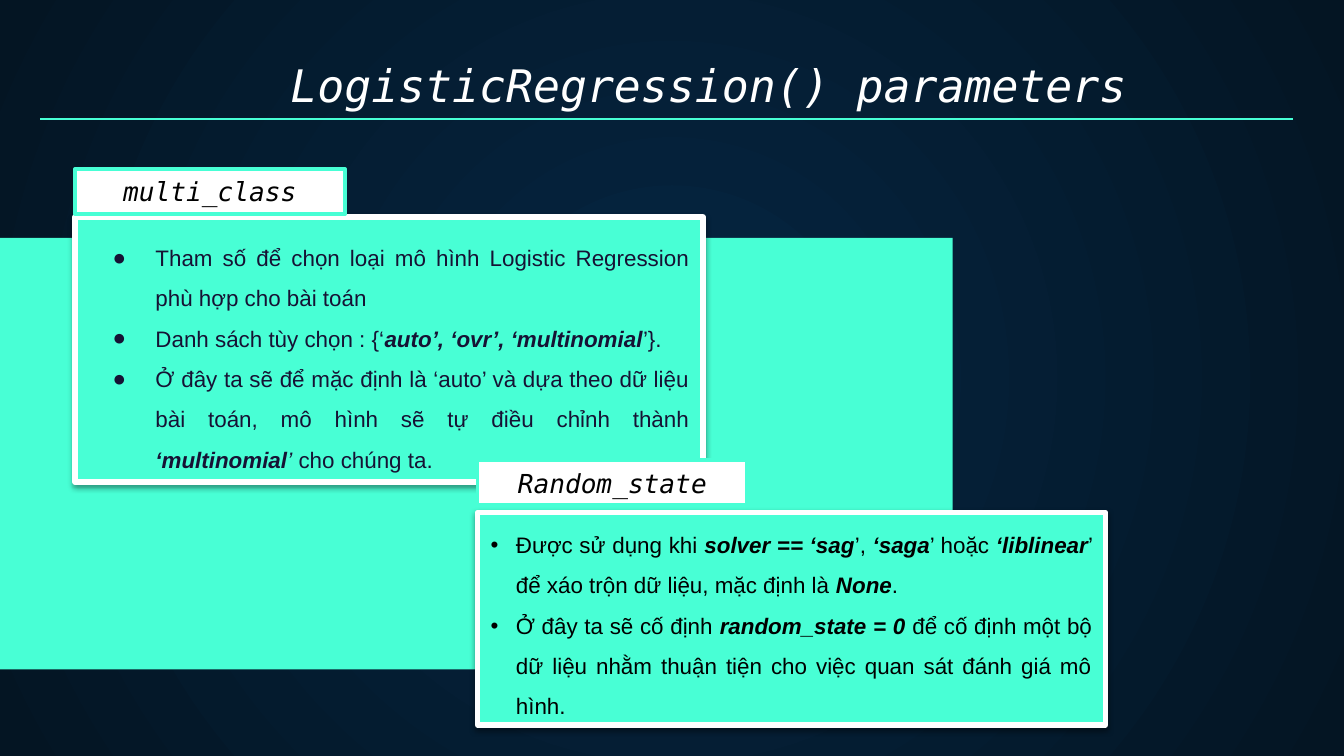
import pptx
import pptx.util
import pptx.dml.color
import pptx.enum.shapes
import pptx.enum.text
import pptx.oxml
import pptx.oxml.ns

Pt = pptx.util.Pt
ALIGN = pptx.enum.text.PP_ALIGN
ANCHOR = pptx.enum.text.MSO_ANCHOR
RECTANGLE = pptx.enum.shapes.MSO_SHAPE.RECTANGLE
NAMESPACE = pptx.oxml.ns.nsdecls("a")
TEAL, WHITE, BLACK, NAVY = "48FFD5", "FFFFFF", "000000", "161234"
MONO = "DejaVu Sans Mono"


def color(hex_code):
    return pptx.dml.color.RGBColor.from_string(hex_code)


def add_span(para, text, size, font, hex_code, style=""):
    span = para.add_run()
    span.text = text
    values = {"size": Pt(size), "name": font, "bold": "b" in style, "italic": "i" in style}
    for name, value in values.items():
        setattr(span.font, name, value)
    span.font.color.rgb = color(hex_code)


deck = pptx.Presentation()
deck.slide_width, deck.slide_height = Pt(720), Pt(405)
page = deck.slides.add_slide(deck.slide_layouts[6])

# Background: radial gradient, lighter in the centre
fill = page.background.fill
fill.gradient()
for stop, hex_code in zip(fill.gradient_stops, ("052643", "041523")):
    stop.color.rgb = color(hex_code)
linear = page.background._cSld.find(".//" + pptx.oxml.ns.qn("a:lin"))
linear.getparent().replace(linear, pptx.oxml.parse_xml(
    f'<a:path {NAMESPACE} path="circle">'
    '<a:fillToRect l="50000" t="50000" r="50000" b="50000"/></a:path>'))

# Teal band behind the panels
band = page.shapes.add_shape(RECTANGLE, Pt(-27.4), Pt(127.5), Pt(537.8), Pt(231.2))
band.shadow.inherit = False
band.fill.solid()
band.fill.fore_color.rgb = color(TEAL)
band.line.fill.background()

# Title and the rule under it
title = page.shapes.add_textbox(Pt(67), Pt(19.4), Pt(625), Pt(47.5))
frame = title.text_frame
layout = {"word_wrap": True, "vertical_anchor": ANCHOR.BOTTOM, "margin_left": Pt(7.2),
          "margin_right": Pt(7.2), "margin_top": Pt(7.2), "margin_bottom": Pt(7.2)}
for name, value in layout.items():
    setattr(frame, name, value)
frame.paragraphs[0].alignment = ALIGN.CENTER
add_span(frame.paragraphs[0], "LogisticRegression() parameters", 24, MONO, WHITE, "i")

rule = page.shapes.add_connector(
    pptx.enum.shapes.MSO_CONNECTOR.STRAIGHT, Pt(21.6), Pt(63.8), Pt(692.6), Pt(63.8))
rule.line.color.rgb = color(TEAL)
rule.line.width = Pt(0.75)
rule._element.spPr.append(pptx.oxml.parse_xml(f"<a:effectLst {NAMESPACE}/>"))

# Parameter panels: each paragraph is a list of (text, style) spans
panels = [
    {"label": "multi_class", "left": 40.2, "label_top": 90.5, "top": 116.4, "height": 142,
     "anchor": ANCHOR.TOP, "margin": 7.2, "bullet": "●", "ink": NAVY,
     "indent": 36, "hanging": 23, "paragraphs": [
         [("Tham số để chọn loại mô hình Logistic Regression phù hợp cho bài toán", "")],
         [("Danh sách tùy chọn : {‘", ""), ("auto’, ‘ovr’, ‘multinomial", "bi"), ("’}.", "")],
         [("Ở đây ta sẽ để mặc định là ‘auto’ và dựa theo dữ liệu bài toán, "
           "mô hình sẽ tự điều chỉnh thành ", ""),
          ("‘multinomial", "bi"), ("’", "i"), (" cho chúng ta.", "")]]},
    {"label": "Random_state", "left": 255.8, "label_top": 246.5, "top": 274.5, "height": 113.8,
     "anchor": ANCHOR.MIDDLE, "margin": 3.6, "bullet": "•", "ink": BLACK,
     "indent": 13.5, "hanging": 13.5, "paragraphs": [
         [("Được sử dụng khi ", ""), ("solver == ‘sag", "bi"), ("’, ", ""), ("‘saga", "bi"),
          ("’ hoặc ", ""), ("‘liblinear", "bi"),
          ("’ để xáo trộn dữ liệu, mặc định là ", ""), ("None", "bi"), (".", "")],
         [("Ở đây ta sẽ cố định ", ""), ("random_state = 0 ", "bi"),
          ("để cố định một bộ dữ liệu nhằm thuận tiện cho việc quan sát "
           "đánh giá mô hình.", "")]]},
]

for panel in panels:
    # Text panel and label box
    body = page.shapes.add_shape(
        RECTANGLE, Pt(panel["left"]), Pt(panel["top"]), Pt(336.4), Pt(panel["height"]))
    label = page.shapes.add_shape(
        RECTANGLE, Pt(panel["left"]), Pt(panel["label_top"]), Pt(144.6), Pt(24.2))
    for box, inside, outline, width in ((body, TEAL, WHITE, 3), (label, WHITE, TEAL, 2)):
        box.shadow.inherit = False
        box.fill.solid()
        box.fill.fore_color.rgb = color(inside)
        box.line.color.rgb = color(outline)
        box.line.width = Pt(width)
        box.text_frame.word_wrap = True

    # Soft shadow below the panel
    effects = body._element.spPr.find(pptx.oxml.ns.qn("a:effectLst"))
    effects.append(pptx.oxml.parse_xml(
        f'<a:outerShdw {NAMESPACE} blurRad="{Pt(3.1)}" dist="{Pt(1.6)}" dir="5400000" '
        'rotWithShape="0"><a:srgbClr val="000000"><a:alpha val="38000"/></a:srgbClr>'
        '</a:outerShdw>'))

    # Label text
    para = label.text_frame.paragraphs[0]
    para.alignment = ALIGN.CENTER
    add_span(para, panel["label"], 14, MONO, BLACK, "i")

    # Bulleted text
    frame = body.text_frame
    frame.vertical_anchor = panel["anchor"]
    frame.margin_top = frame.margin_bottom = Pt(panel["margin"])
    for index, spans in enumerate(panel["paragraphs"]):
        para = frame.add_paragraph() if index else frame.paragraphs[0]
        para.alignment = ALIGN.JUSTIFY
        para.line_spacing = 1.5
        properties = para._p.get_or_add_pPr()
        properties.set("marL", str(Pt(panel["indent"])))
        properties.set("indent", str(-Pt(panel["hanging"])))
        for xml in (f'<a:buClr {NAMESPACE}><a:srgbClr val="{panel["ink"]}"/></a:buClr>',
                    f'<a:buFont {NAMESPACE} typeface="Arial"/>',
                    f'<a:buChar {NAMESPACE} char="{panel["bullet"]}"/>'):
            properties.append(pptx.oxml.parse_xml(xml))
        for text, style in spans:
            add_span(para, text, 12, "Arial", panel["ink"], style)

deck.save("out.pptx")
